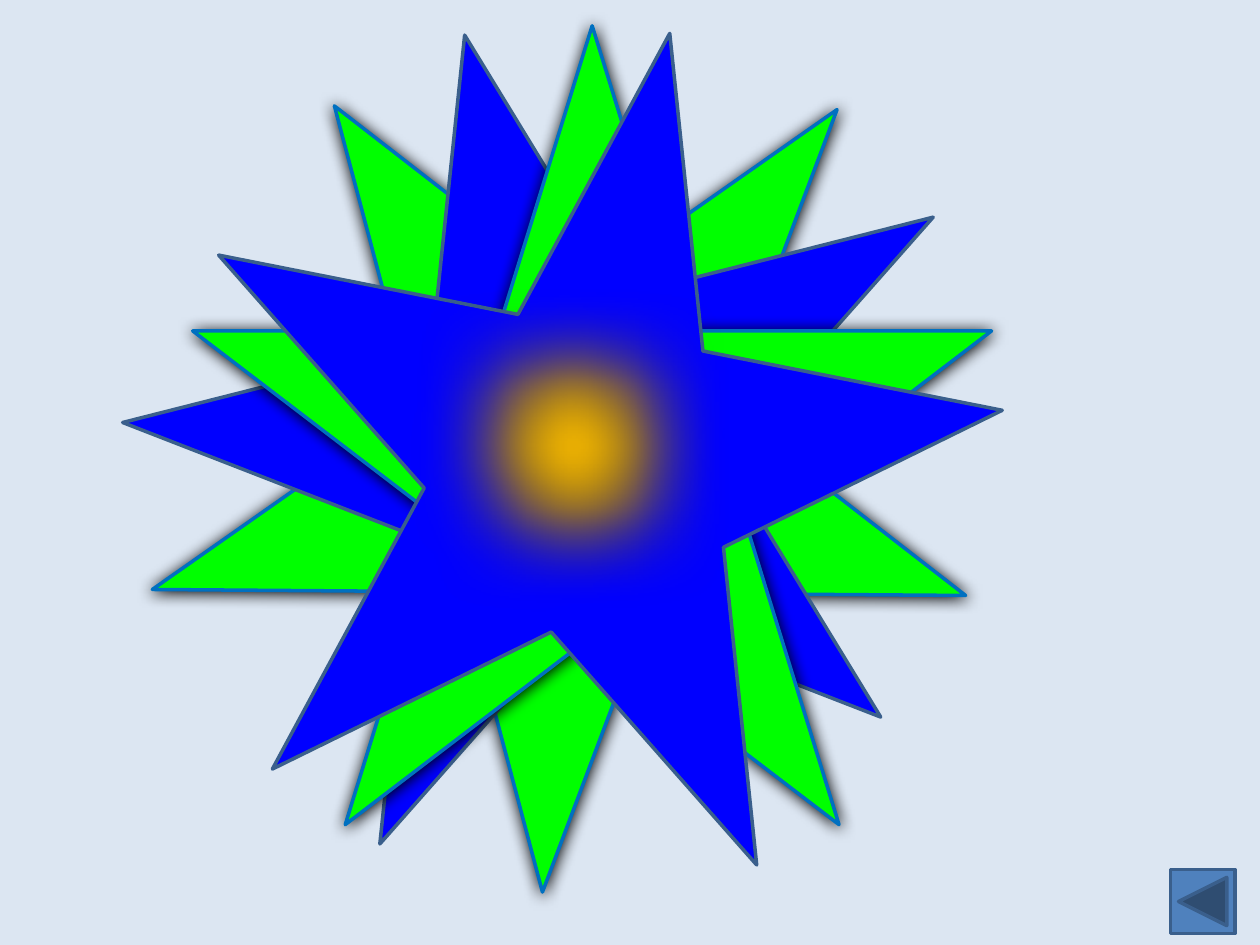
from lxml.etree import SubElement
from pptx import Presentation
from pptx.dml.color import RGBColor
from pptx.enum.shapes import MSO_SHAPE
from pptx.oxml.ns import qn
from pptx.util import Inches, Pt

BACKGROUND = RGBColor(0xDC, 0xE6, 0xF2)
GREEN = RGBColor(0x00, 0xFF, 0x00)
BLUE = RGBColor(0x00, 0x00, 0xFF)
GOLD = RGBColor(0xFF, 0xC0, 0x00)
BRIGHT_LINE = RGBColor(0x00, 0x70, 0xC0)
DARK_LINE = RGBColor(0x3A, 0x5F, 0x8C)
BUTTON_BLUE = RGBColor(0x4F, 0x81, 0xBD)

SLIDE_WIDTH, SLIDE_HEIGHT = Inches(10), Inches(7.5)
STAR_CENTRE = (0.47, 0.45)
STAR_SIZE = 0.634
BUTTON_CENTRE = (0.9545, 0.954)
BUTTON_SIZE = 0.051
SOFT_EDGE = Pt(50)

# Rotation, fill, outline, shadow, soft edge; from back to front
STARS = [
    (37.8, GREEN, BRIGHT_LINE, True, False),
    (58.6, BLUE, DARK_LINE, False, False),
    (25.2, GOLD, BRIGHT_LINE, True, True),
    (0, GREEN, BRIGHT_LINE, True, False),
    (11.2, BLUE, DARK_LINE, False, False),
    (48.8, GOLD, BRIGHT_LINE, True, True),
]


class FlowerSlide:
    """Holds the style and the current slide."""

    line_width = Pt(2)

    def __init__(self, presentation):
        """Add a blank slide with a plain background."""
        self.slide = presentation.slides.add_slide(presentation.slide_layouts[6])
        fill = self.slide.background.fill
        fill.solid()
        fill.fore_color.rgb = BACKGROUND

    def square_shape(self, kind, centre, size, fill, line):
        """Add a square shape; centre is in slide shares, size in width shares."""
        side = round(size * SLIDE_WIDTH)
        left = round(centre[0] * SLIDE_WIDTH - side / 2)
        top = round(centre[1] * SLIDE_HEIGHT - side / 2)
        shape = self.slide.shapes.add_shape(kind, left, top, side, side)
        shape.fill.solid()
        shape.fill.fore_color.rgb = fill
        shape.line.color.rgb = line
        shape.line.width = self.line_width
        shape.shadow.inherit = False
        return shape

    def star(self, rotation, fill, line, shadow, soft):
        """Add one layer of the flower."""
        shape = self.square_shape(MSO_SHAPE.STAR_5_POINT, STAR_CENTRE, STAR_SIZE, fill, line)
        shape.rotation = rotation
        effects = shape._element.spPr.find(qn("a:effectLst"))
        if shadow:
            outer = SubElement(effects, qn("a:outerShdw"), blurRad=str(Pt(8.5)),
                               dist=str(Pt(1)), dir="5400000", rotWithShape="0")
            SubElement(outer, qn("a:srgbClr"), val="000000")
        if soft:
            SubElement(effects, qn("a:softEdge"), rad=str(SOFT_EDGE))

    def back_button(self):
        """Add the mirrored forward button in the corner."""
        shape = self.square_shape(MSO_SHAPE.ACTION_BUTTON_FORWARD_OR_NEXT,
                                  BUTTON_CENTRE, BUTTON_SIZE, BUTTON_BLUE, DARK_LINE)
        shape._element.spPr.find(qn("a:xfrm")).set("flipH", "1")


def main():
    """Build and save the slide."""
    presentation = Presentation()
    presentation.slide_width = SLIDE_WIDTH
    presentation.slide_height = SLIDE_HEIGHT
    flower = FlowerSlide(presentation)
    for layer in STARS:
        flower.star(*layer)
    flower.back_button()
    presentation.save("out.pptx")


main()
